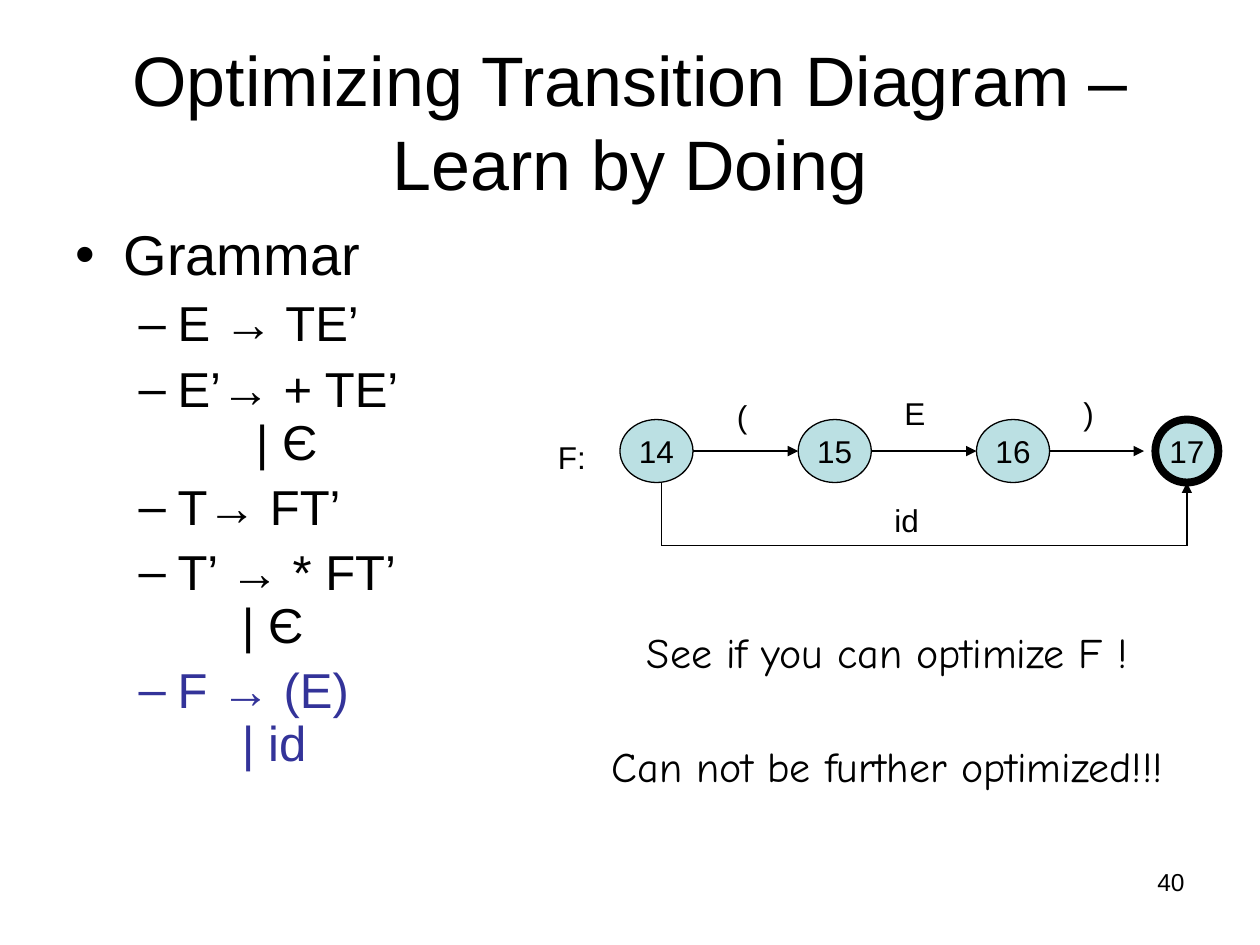
from lxml import etree
from pptx import Presentation, util as u
from pptx.dml.color import RGBColor
from pptx.enum import shapes, text
from pptx.oxml.ns import qn

BLACK = RGBColor(0x00, 0x00, 0x00)
STATE_FILL = RGBColor(0xBB, 0xE0, 0xE3)
HIGHLIGHT = RGBColor(0x33, 0x33, 0x99)
ALIGN = text.PP_ALIGN
GRAMMAR = [
    ("Grammar", 0, None, BLACK),
    ("E → TE’", 1, None, BLACK),
    ("E’→ + TE’\v\t| Є", 1, 1.43, BLACK),
    ("T→ FT’", 1, None, BLACK),
    ("T’ → * FT’\v\t| Є", 1, 1.32, BLACK),
    ("F → (E)\v\t| id", 1, 1.32, HIGHLIGHT),
]


def place(part, left, top, width, height):
    """Move and size a part, in inches."""
    part.left, part.top = u.Inches(left), u.Inches(top)
    part.width, part.height = u.Inches(width), u.Inches(height)


def style(paragraph, size, color=BLACK, face="Arial", align=None):
    """Set the font and alignment of a paragraph."""
    paragraph.font.size = u.Pt(size)
    paragraph.font.name = face
    paragraph.font.color.rgb = color
    paragraph.alignment = align


def add_label(slide, wording, left, top, width, height, size=18, **look):
    """Add a wrapped one-paragraph text box."""
    label = slide.shapes.add_textbox(
        *map(u.Inches, (left, top, width, height))).text_frame
    label.word_wrap = True
    label.text = wording
    style(label.paragraphs[0], size, **look)


def add_state(slide, number, left, top, width, height, border=0.75):
    """Add a numbered state of the transition diagram."""
    state = slide.shapes.add_shape(
        shapes.MSO_SHAPE.OVAL, *map(u.Inches, (left, top, width, height)))
    state.shadow.inherit = False
    state.fill.solid()
    state.fill.fore_color.rgb = STATE_FILL
    state.line.color.rgb = BLACK
    state.line.width = u.Pt(border)
    frame = state.text_frame
    frame.word_wrap = False
    frame.vertical_anchor = text.MSO_ANCHOR.MIDDLE
    frame.text = number
    style(frame.paragraphs[0], 18, align=ALIGN.CENTER)


def add_edge(slide, start, end, arrow=True):
    """Add a straight edge, with an arrowhead at its end if wanted."""
    edge = slide.shapes.add_connector(
        shapes.MSO_CONNECTOR.STRAIGHT, *map(u.Inches, (*start, *end)))
    edge.line.color.rgb = BLACK
    edge.line.width = u.Pt(0.75)
    if arrow:
        etree.SubElement(edge.line._get_or_add_ln(), qn("a:tailEnd"), type="triangle")
    etree.SubElement(edge._element.spPr, qn("a:effectLst"))


def fill_title(slide, left, top, width, height):
    """Write the slide title."""
    title = slide.shapes.title
    place(title, left, top, width, height)
    title.text_frame.text = "Optimizing Transition Diagram – Learn by Doing"
    title.text_frame.auto_size = text.MSO_AUTO_SIZE.NONE
    title.text_frame.vertical_anchor = text.MSO_ANCHOR.MIDDLE
    style(title.text_frame.paragraphs[0], 40, align=ALIGN.CENTER)


def set_bullet(paragraph, level, tab_stop, color):
    """Give a paragraph its indent, bullet and tab stop."""
    margin, hanging, mark = [(0.38, -0.38, "•"), (0.81, -0.31, "–")][level]
    properties = paragraph._p.get_or_add_pPr()
    properties.set("marL", str(u.Inches(margin)))
    properties.set("indent", str(u.Inches(hanging)))
    bullet_color = etree.Element(qn("a:buClr"))
    etree.SubElement(bullet_color, qn("a:srgbClr"), val=str(color))
    bullet = etree.Element(qn("a:buChar"), char=mark)
    parts = [bullet_color, bullet]
    if tab_stop:
        tabs = etree.Element(qn("a:tabLst"))
        etree.SubElement(tabs, qn("a:tab"), pos=str(u.Inches(tab_stop)), algn="l")
        parts.append(tabs)
    font_defaults = properties.find(qn("a:defRPr"))
    for part in parts:
        font_defaults.addprevious(part)


def fill_grammar(slide, left, top, width, height):
    """Write the list of grammar rules."""
    body = slide.placeholders[1]
    place(body, left, top, width, height)
    frame = body.text_frame
    frame.auto_size = text.MSO_AUTO_SIZE.NONE
    for index, (wording, level, tab_stop, color) in enumerate(GRAMMAR):
        rule = frame.add_paragraph() if index else frame.paragraphs[0]
        rule.text = wording
        rule.level = level
        rule.line_spacing = 0.9
        rule.space_before = u.Pt(8 - level)
        style(rule, 32 - 4 * level, color)
        set_bullet(rule, level, tab_stop, color)


def draw_diagram(slide, left, top):
    """Draw the transition diagram for F."""
    state_width, state_height, pitch = 0.58, 0.5, 1.415
    first, state_top = left + 0.59, top + 0.25
    middle, bottom = state_top + state_height / 2, state_top + state_height
    final = left + 4.84
    for index, number in enumerate(("14", "15", "16")):
        state_left = first + index * pitch
        target = state_left + pitch if index < 2 else final - 0.09
        add_state(slide, number, state_left, state_top, state_width, state_height)
        add_edge(slide, (state_left + state_width, middle), (target, middle))
    add_state(slide, "17", final, state_top, state_height, state_height, border=4.5)

    turn_left, turn_right, floor = left + 0.92, final + 0.25, bottom + 0.5
    add_edge(slide, (turn_left, bottom), (turn_left, floor), arrow=False)
    add_edge(slide, (turn_left, floor), (turn_right, floor), arrow=False)
    add_edge(slide, (turn_right, floor), (turn_right, bottom))

    for wording, across, down, width in (
            ("F:", 0, 0.35, 0.58), ("(", 1.42, 0.02, 0.33), ("E", 2.75, 0, 0.33),
            (")", 4.17, 0, 0.33), ("id", 2.67, 0.85, 0.5)):
        add_label(slide, wording, left + across, top + down, width, 0.4)


def add_remarks(slide, left, top, width):
    """Write the question and its answer below the diagram."""
    for wording, down in (("See if you can optimize F !", 0),
                          ("Can not be further optimized!!!", 0.91)):
        add_label(slide, wording, left, top + down, width, 0.5, size=24,
                  face="Comic Neue", align=ALIGN.CENTER)


def main():
    """Build the slide and save it."""
    deck = Presentation()
    deck.slide_width, deck.slide_height = u.Inches(10), u.Inches(7.5)
    slide = deck.slides.add_slide(deck.slide_layouts[1])
    fill_title(slide, 0.5, 0.33, 9, 1.25)
    fill_grammar(slide, 0.5, 1.75, 3.42, 4.95)
    draw_diagram(slide, 4.33, 3.08)
    add_remarks(slide, 4.33, 4.92, 5.42)
    add_label(slide, "40", 7.17, 6.83, 2.33, 0.52, size=14, align=ALIGN.RIGHT)
    deck.save("out.pptx")


if __name__ == "__main__":
    main()
